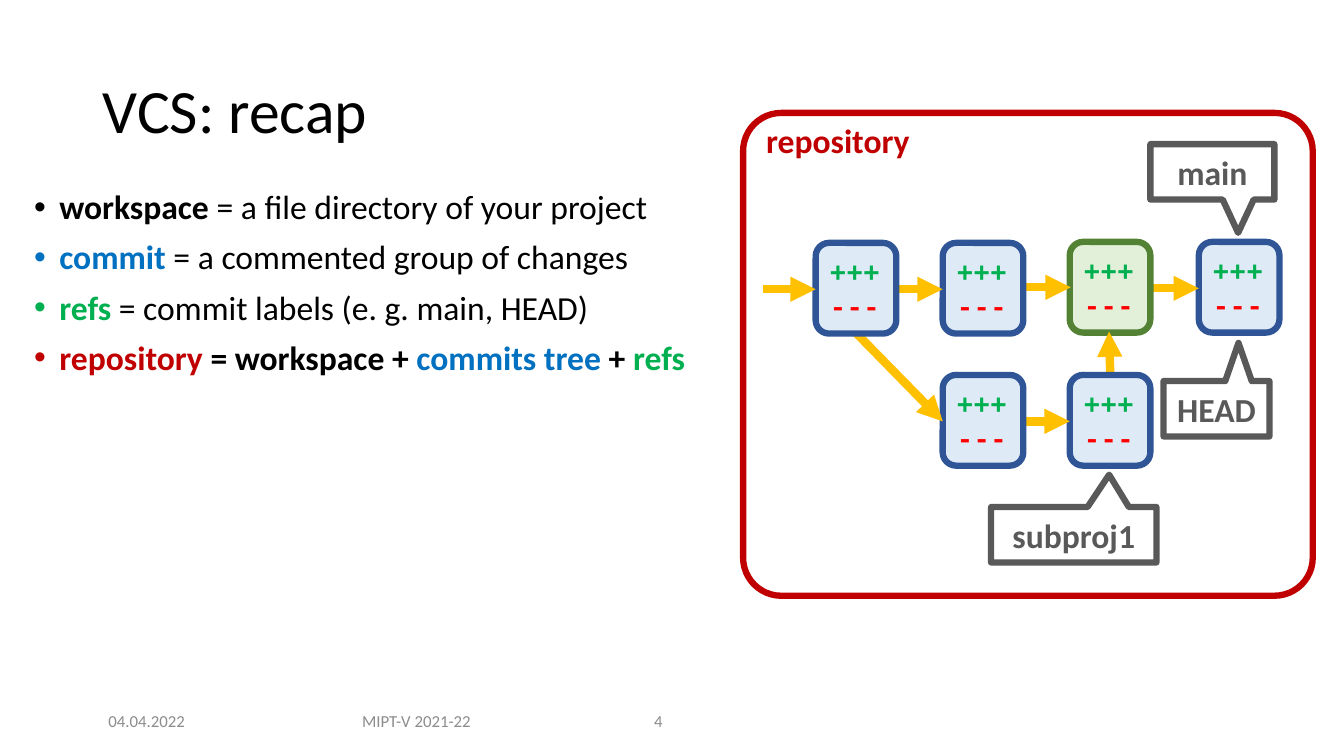
import pptx
import pptx.util
import pptx.dml.color
import pptx.enum.shapes
import pptx.enum.text
import pptx.oxml
import pptx.oxml.ns

Inches = pptx.util.Inches
Pt = pptx.util.Pt
SHAPE = pptx.enum.shapes.MSO_SHAPE
ALIGN = pptx.enum.text.PP_ALIGN
ANCHOR = pptx.enum.text.MSO_ANCHOR
NS = pptx.oxml.ns.nsdecls("a")

COLORS = {
    "black": "000000", "white": "FFFFFF", "muted": "8C8C8C", "label": "595959",
    "repo": "C00000", "commit": "0070C0", "refs": "00B050", "removed": "FF0000",
    "node": "DEEBF7", "node_edge": "2F5597", "merge": "E2F0D9", "merge_edge": "548235",
    "arrow": "FFC000",
}
rgb = {name: pptx.dml.color.RGBColor.from_string(code) for name, code in COLORS.items()}


def write(frame, lines, size, font="Calibri", align=ALIGN.LEFT, anchor=ANCHOR.MIDDLE, bullets=False, **spacing):
    frame.word_wrap = True
    frame.vertical_anchor = anchor
    for index, line in enumerate(lines):
        paragraph = frame.paragraphs[0] if index == 0 else frame.add_paragraph()
        if bullets:
            properties = paragraph._p.get_or_add_pPr()
            properties.set("marL", str(Inches(0.25)))
            properties.set("indent", str(-Inches(0.25)))
            properties.append(pptx.oxml.parse_xml(f'<a:buFont {NS} typeface="Arial"/>'))
            properties.append(pptx.oxml.parse_xml(f'<a:buChar {NS} char="•"/>'))
        paragraph.alignment = align
        for name, value in spacing.items():
            if index or name != "space_before":
                setattr(paragraph, name, value)
        for text, color, bold in line:
            run = paragraph.add_run()
            run.text = text
            for name, value in {"name": font, "size": Pt(size), "bold": bold}.items():
                setattr(run.font, name, value)
            run.font.color.rgb = rgb[color]


def outlined(kind, box, fill, edge):
    shape = slide.shapes.add_shape(kind, *map(Inches, box))
    shape.shadow.inherit = False
    if fill:
        shape.fill.solid()
        shape.fill.fore_color.rgb = rgb[fill]
    else:
        shape.fill.background()
    shape.line.color.rgb = rgb[edge]
    shape.line.width = Pt(4.5)
    return shape


deck = pptx.Presentation()
deck.slide_width = Inches(13.33)
deck.slide_height = Inches(7.5)
slide = deck.slides.add_slide(deck.slide_layouts[6])

title = slide.shapes.add_textbox(Inches(0.92), Inches(0.4), Inches(11.5), Inches(1.45))
write(title.text_frame, [[("VCS: recap", "black", False)]], 44, line_spacing=0.9)

definitions = [
    [("workspace", "black", True), (" = a file directory of your project", "black", False)],
    [("commit", "commit", True), (" = a commented group of changes", "black", False)],
    [("refs", "refs", True), (" = commit labels (e. g. main, HEAD)", "black", False)],
    [("repository ", "repo", True), ("= workspace + ", "black", True),
     ("commits tree ", "commit", True), ("+ ", "black", True), ("refs", "refs", True)],
]
body = slide.shapes.add_textbox(Inches(0.24), Inches(1.84), Inches(6.89), Inches(4.36))
write(body.text_frame, definitions, 24, anchor=ANCHOR.TOP, bullets=True,
      line_spacing=0.9, space_before=Pt(10))

footers = [
    ("04.04.2022", 0.92, 1.07, ALIGN.CENTER),
    ("MIPT-V 2021-22", 3.34, 1.58, ALIGN.CENTER),
    ("4", 6.39, 0.79, ALIGN.LEFT),
]
for text, left, width, align in footers:
    footer = slide.shapes.add_textbox(Inches(left), Inches(6.95), Inches(width), Inches(0.4))
    write(footer.text_frame, [[(text, "muted", False)]], 12, align=align)

commits = [
    (11.89, 2.4, "node", [(11.04, 2.86, 11.89, 2.86)]),
    (10.61, 2.4, "merge", [(9.81, 2.85, 10.62, 2.85), (11.02, 4.01, 11, 3.29)]),
    (10.61, 3.72, "node", [(9.76, 4.18, 10.61, 4.18)]),
    (9.35, 2.41, "node", [(8.5, 2.87, 9.35, 2.87)]),
    (9.35, 3.72, "node", [(8.36, 3.17, 9.35, 4.18)]),
    (8.09, 2.41, "node", [(7.57, 2.87, 8.09, 2.87)]),
]
for left, top, role, incoming in commits:
    commit = outlined(SHAPE.ROUNDED_RECTANGLE, (left, top, 0.8, 0.9), role, role + "_edge")
    write(commit.text_frame, [[("+++", "refs", True)], [("---", "removed", True)]], 20, font="Courier New")
    for ends in incoming:
        arrow = slide.shapes.add_connector(pptx.enum.shapes.MSO_CONNECTOR.STRAIGHT, *map(Inches, ends))
        arrow.line.color.rgb = rgb["arrow"]
        arrow.line.width = Pt(6)
        arrow.line._get_or_add_ln().append(pptx.oxml.parse_xml(f'<a:tailEnd {NS} type="triangle"/>'))
        arrow._element.spPr.append(pptx.oxml.parse_xml(f"<a:effectLst {NS}/>"))

refs = [
    ("subproj1", 9.83, 5.03, 1.64, (0.214, -1.083)),
    ("main", 11.41, 1.43, 1.23, (0.208, 1.1)),
    ("HEAD", 11.54, 3.78, 1.05, (0.208, -1.188)),
]
for name, left, top, width, tip in refs:
    ref = outlined(SHAPE.RECTANGULAR_CALLOUT, (left, top, width, 0.55), "white", "label")
    ref.adjustments[0], ref.adjustments[1] = tip
    write(ref.text_frame, [[(name, "label", True)]], 24, align=ALIGN.CENTER)

repository = outlined(SHAPE.ROUNDED_RECTANGLE, (7.37, 1.12, 5.65, 4.79), None, "repo")
repository.adjustments[0] = 0.079
repository_label = slide.shapes.add_textbox(Inches(7.5), Inches(1.14), Inches(2.24), Inches(0.5))
write(repository_label.text_frame, [[("repository", "repo", True)]], 24, anchor=ANCHOR.TOP)

deck.save("out.pptx")
